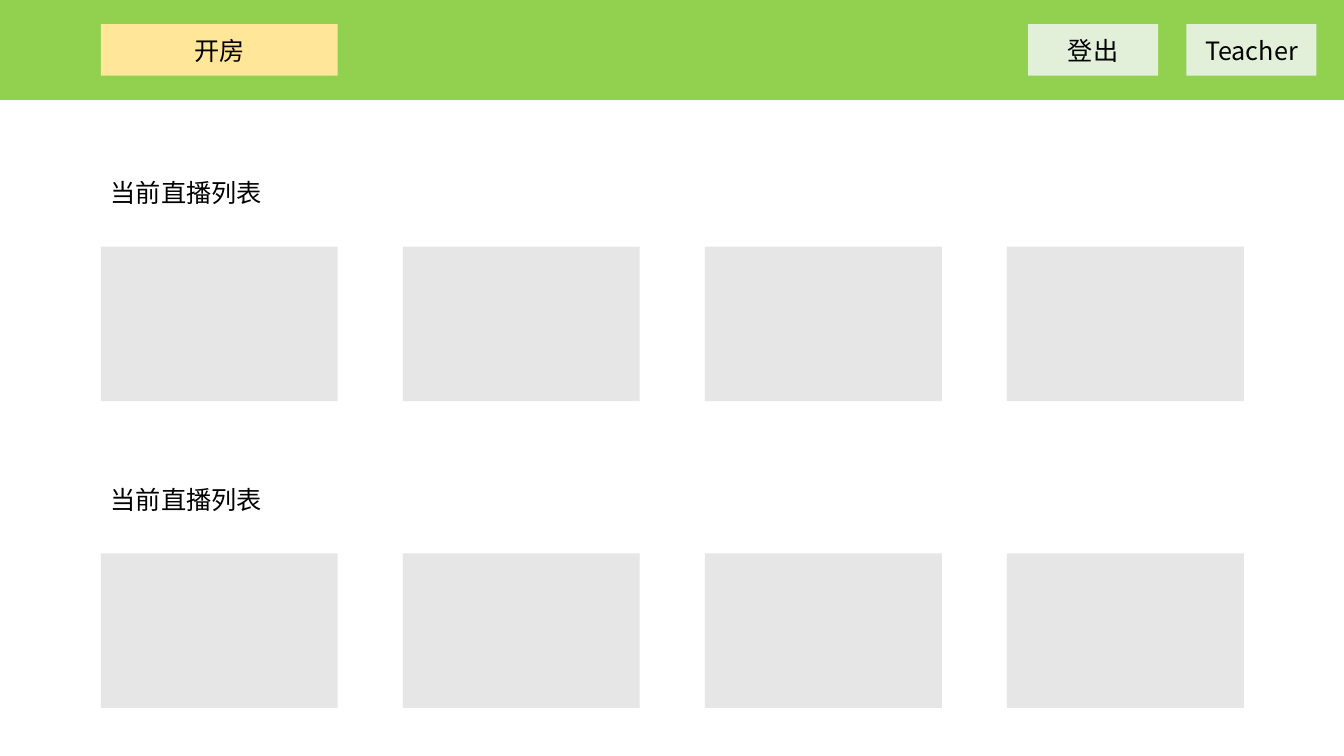
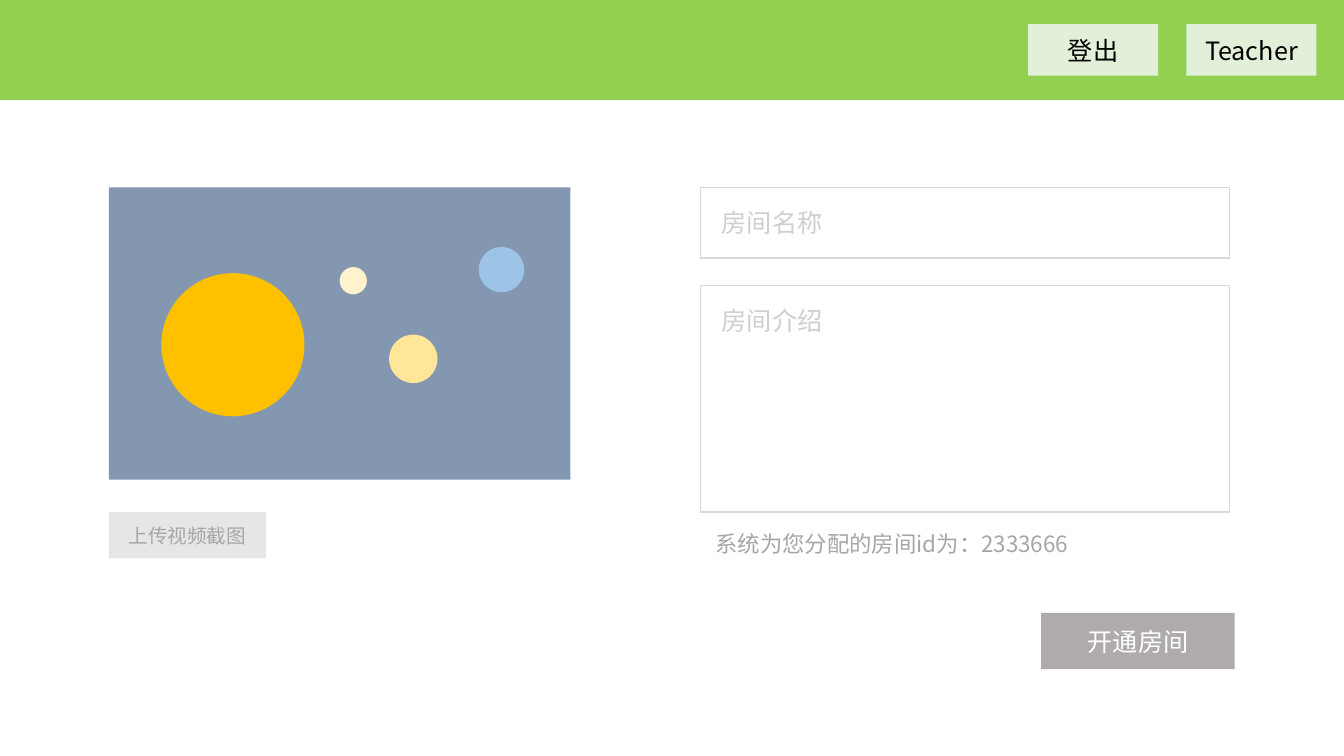
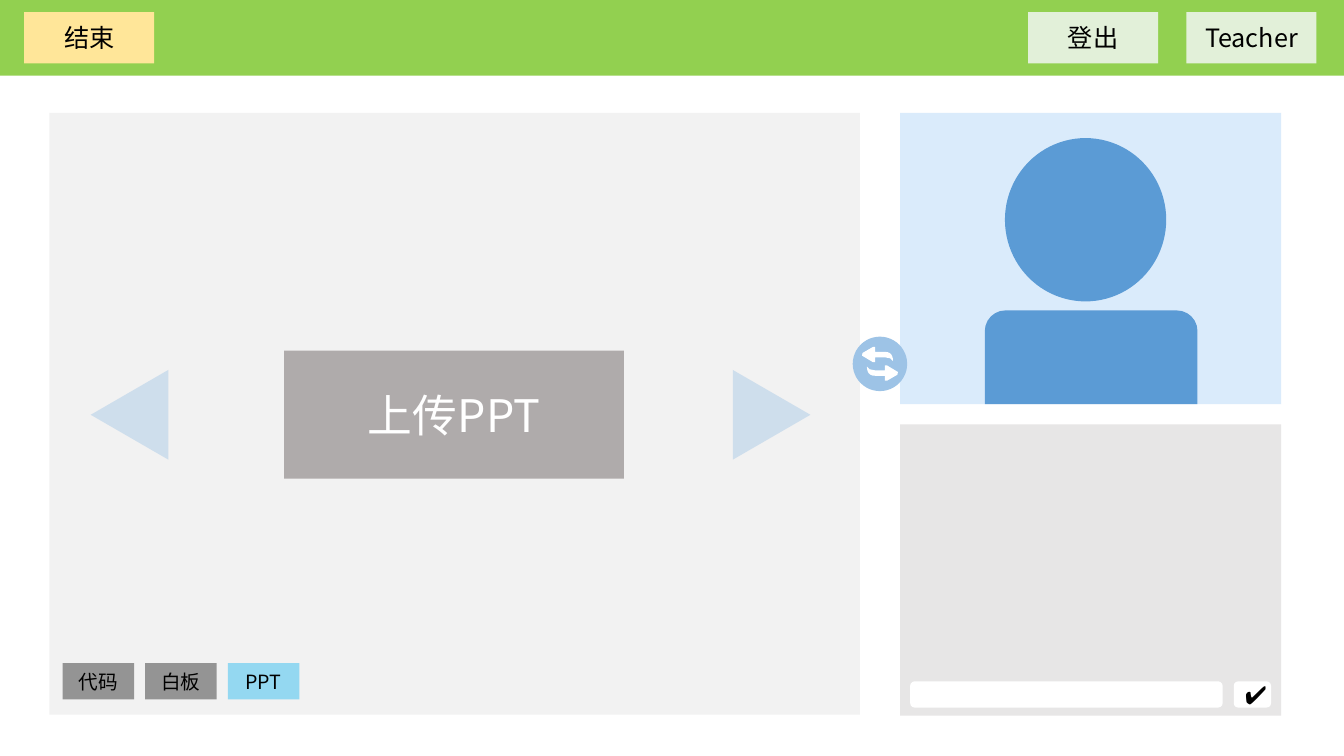
from dataclasses import dataclass

from lxml import etree
from pptx import Presentation
from pptx import util as u
from pptx.dml import color
from pptx.enum import shapes, text
from pptx.oxml import ns

# Shared look; the slide is a grid of 40 columns by 22.5 rows of square cells
COLUMNS, ROWS = 40, 22.5
CELL = u.Inches(7.5) / ROWS
FONT = "Noto Sans CJK SC"
BLACK, WHITE = "000000", "FFFFFF"
GREEN, MINT, SAND = "92D050", "E2F0D9", "FFE699"
SILVER, GREY, MUTED = "E7E6E6", "AFABAB", "A6A6A6"
SKY, BLUE = "9DC3E6", "5B9BD5"
KIND = shapes.MSO_SHAPE
LEFT, CENTER = text.PP_ALIGN.LEFT, text.PP_ALIGN.CENTER
TOP, MIDDLE = text.MSO_ANCHOR.TOP, text.MSO_ANCHOR.MIDDLE


@dataclass
class Box:
    """An area of the slide, in grid cells."""
    x: float
    y: float
    w: float
    h: float

    def inner(self, x, y, w, h):
        return Box(self.x + x, self.y + y, w, h)

    def emu(self):
        return [round(value * CELL) for value in (self.x, self.y, self.w, self.h)]


def paint(shape, fill, alpha=None, line=None):
    shape.shadow.inherit = False
    shape.fill.solid()
    shape.fill.fore_color.rgb = color.RGBColor.from_string(fill)
    if alpha:
        tint = shape.element.spPr.find(".//" + ns.qn("a:srgbClr"))
        etree.SubElement(tint, ns.qn("a:alpha"), val=str(alpha * 1000))
    if line:
        shape.line.color.rgb = color.RGBColor.from_string(line)
        shape.line.width = u.Pt(1)
    else:
        shape.line.fill.background()


def write(shape, words, size=18, ink=BLACK, align=CENTER, anchor=MIDDLE, **margins):
    frame = shape.text_frame
    settings = {"word_wrap": True, "vertical_anchor": anchor}
    settings.update({name: u.Inches(value) for name, value in margins.items()})
    for name, value in settings.items():
        setattr(frame, name, value)
    para = frame.paragraphs[0]
    para.alignment = align
    span = para.add_run()
    span.text = words
    for name, value in {"name": FONT, "size": u.Pt(size)}.items():
        setattr(span.font, name, value)
    span.font.color.rgb = color.RGBColor.from_string(ink)
    # East Asian glyphs take their own typeface
    latin = shape.element.find(".//" + ns.qn("a:latin"))
    latin.addnext(latin.makeelement(ns.qn("a:ea"), {"typeface": FONT}))


def draw(shelf, box, fill, words=None, kind=KIND.RECTANGLE, alpha=None, line=None, **style):
    shape = shelf.add_shape(kind, *box.emu())
    paint(shape, fill, alpha, line)
    if words:
        write(shape, words, **style)
    return shape


def label(shelf, box, words, **style):
    write(shelf.add_textbox(*box.emu()), words, align=LEFT, **style)


# Green band with the account buttons and an optional action on the left
def header(page, box, action=None, action_x=0, action_w=0):
    draw(page.shapes, box, GREEN)
    button_w, button_h = 3.87, 1.53
    top = (box.h - button_h) / 2
    for x, words in ((30.6, "登出"), (35.31, "Teacher")):
        draw(page.shapes, box.inner(x, top, button_w, button_h), MINT, words)
    if action:
        draw(page.shapes, box.inner(action_x, top, action_w, button_h), SAND, action)


# Caption above one row of equally spaced cards
def card_row(page, box, caption, count=4):
    card_w, card_h = 7.05, 4.6
    step = (box.w - card_w) / (count - 1)
    cards = page.shapes.add_group_shape().shapes
    for column in range(count):
        draw(cards, box.inner(column * step, box.h - card_h, card_w, card_h), SILVER)
    label(page.shapes, box.inner(0, 0, 9.63, 1.2), caption)


# Screenshot preview with its upload button below
def preview(page, box):
    scene = page.shapes.add_group_shape().shapes
    draw(scene, box, "8497B0")
    planets = [(1.56, 2.55, 4.26, "FFC000"), (6.87, 2.37, 0.81, "FFF2CC"),
               (8.34, 4.38, 1.44, SAND), (11.01, 1.77, 1.35, SKY)]
    for x, y, size, fill in planets:
        draw(scene, box.inner(x, y, size, size), fill, kind=KIND.OVAL)
    draw(page.shapes, box.inner(0, box.h + 0.96, 4.68, 1.38), SILVER,
         "上传视频截图", size=14, ink=MUTED)


# Room form: two fields, the room number and the submit button
def room_form(page, box):
    shelf = page.shapes
    field = {"line": "D9D9D9", "ink": "D0CECE", "align": LEFT, "margin_left": 0.21}
    draw(shelf, box.inner(0, 0, box.w, 2.1), WHITE, "房间名称", **field)
    draw(shelf, box.inner(0, 2.91, box.w, 6.75), WHITE, "房间介绍",
         anchor=TOP, margin_top=0.2, **field)
    label(shelf, box.inner(0, 10.05, 13.74, 1.11), "系统为您分配的房间id为：2333666",
          size=16, ink=MUTED, margin_left=0.15)
    draw(shelf, box.inner(10.14, 12.66, 5.76, 1.68), GREY, "开通房间", ink=WHITE)


# Teaching area: mode tabs, page arrows and upload button
def stage(page, box):
    shelf = page.shapes
    draw(shelf, box, "F2F2F2")
    tabs = [("代码", BLACK), ("白板", BLACK), ("PPT", "00B0F0")]
    for index, (words, fill) in enumerate(tabs):
        draw(shelf, box.inner(0.39 + index * 2.46, 16.38, 2.13, 1.08), fill, words,
             alpha=39, size=14)
    for x, turn in ((1.05, 270), (20.16, 90)):
        arrow = draw(shelf, box.inner(x, 7.83, 2.67, 2.31), SKY,
                     kind=KIND.ISOSCELES_TRIANGLE, alpha=42)
        arrow.rotation = turn
    draw(shelf, box.inner(6.99, 7.08, 10.11, 3.81), GREY, "上传PPT", size=32, ink=WHITE)


# Camera view with a plain figure
def camera(page, box):
    draw(page.shapes, box, "DAEBFB")
    draw(page.shapes, box.inner(3.12, 0.75, 4.8, 4.86), BLUE, kind=KIND.OVAL)
    body = draw(page.shapes, box.inner(2.52, 5.88, 6.33, box.h - 5.88), BLUE,
                kind=KIND.ROUND_2_SAME_RECTANGLE)
    body.adjustments[0] = 0.22


# Chat panel with input line and send button
def chat(page, box):
    draw(page.shapes, box, SILVER)
    for x, width, words in ((0.3, 9.3, None), (9.93, 1.11, "✔")):
        draw(page.shapes, box.inner(x, 7.65, width, 0.78), WHITE, words,
             kind=KIND.ROUNDED_RECTANGLE)


# Round swap button: one curved arrow and the same arrow turned by half a circle
def swap_button(page, box):
    shelf = page.shapes.add_group_shape().shapes
    draw(shelf, box, SKY, kind=KIND.OVAL)
    head = [(0.09, 0.22), (0.09, 0.31), (0.13, 0.31), (0.32, 0.2), (0.33, 0.15),
            (0.13, 0.03), (0.09, 0.03), (0.09, 0.12), (-0.09, 0.12), (-0.19, 0.1)]
    steps = [index / 6 for index in range(7)]
    tail = [(-0.24 + 0.15 * t * t, 0.05 + 0.17 * t * (2 - t)) for t in steps]

    def outline(sign):
        left, top, width, height = box.emu()
        return [(round(left + (0.5 + sign * x) * width),
                 round(top + (0.5 + sign * y) * height)) for x, y in head + tail]

    lower, upper = outline(1), outline(-1)
    builder = shelf.build_freeform(*lower[0])
    builder.add_line_segments(lower[1:])
    builder.move_to(*upper[0])
    builder.add_line_segments(upper[1:])
    paint(builder.convert_to_shape(), WHITE)


deck = Presentation()
deck.slide_width, deck.slide_height = round(COLUMNS * CELL), round(ROWS * CELL)
home, setup, lesson = [deck.slides.add_slide(deck.slide_layouts[6]) for _ in range(3)]

# Home: lists of live rooms
header(home, Box(0, 0, COLUMNS, 2.97), "开房", 3, 7.05)
for row_top in (5.13, 14.26):
    card_row(home, Box(3, row_top, 34.02, 6.81), "当前直播列表")

# Setup: open a room
header(setup, Box(0, 0, COLUMNS, 2.97))
preview(setup, Box(3.24, 5.58, 13.74, 8.7))
room_form(setup, Box(20.85, 5.58, 15.75, 14.34))

# Lesson: live room
header(lesson, Box(0, 0, COLUMNS, 2.25), "结束", 0.72, 3.87)
stage(lesson, Box(1.47, 3.36, 24.12, 17.91))
camera(lesson, Box(26.79, 3.36, 11.34, 8.67))
chat(lesson, Box(26.79, 12.63, 11.34, 8.67))
swap_button(lesson, Box(25.38, 10.02, 1.62, 1.62))

deck.save("out.pptx")
